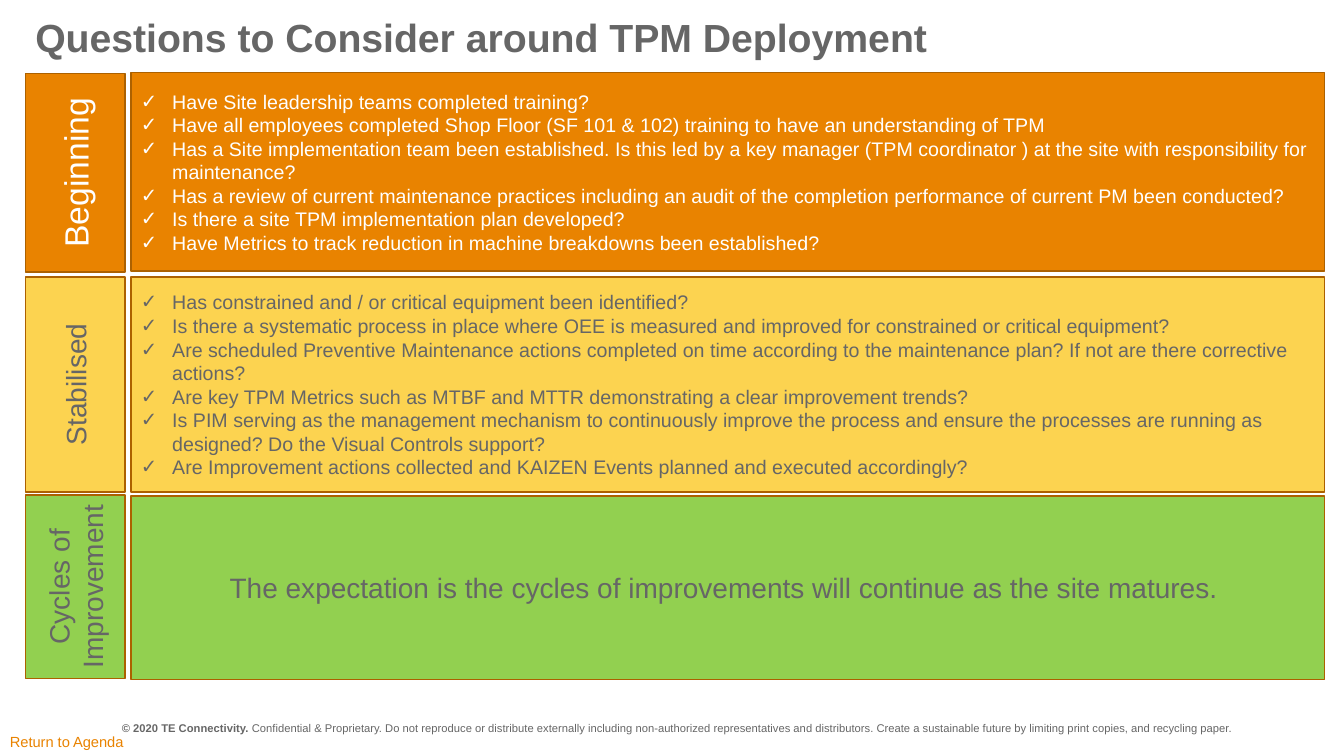
from lxml.etree import SubElement
from pptx import Presentation
from pptx.dml.color import RGBColor
from pptx.enum.shapes import MSO_SHAPE
from pptx.enum.text import MSO_ANCHOR, PP_ALIGN
from pptx.oxml.ns import qn
from pptx.util import Inches, Pt

GREY = RGBColor(0x66, 0x66, 0x66)
WHITE = RGBColor(0xFF, 0xFF, 0xFF)
ORANGE = RGBColor(0xE9, 0x83, 0x00)
YELLOW = RGBColor(0xFC, 0xD3, 0x50)
GREEN = RGBColor(0x92, 0xD0, 0x50)
BROWN = RGBColor(0xAC, 0x61, 0x00)

LABEL_LEFT, LABEL_WIDTH = 0.25, 0.99
PANEL_LEFT, PANEL_WIDTH = 1.3, 11.84

# name, name size, label top, panel top, height, fill, text colour, lines
STAGES = [
    ("Beginning", 24, 0.73, 0.72, 1.97, ORANGE, WHITE, [
        "Have Site leadership teams completed training?",
        "Have all employees completed Shop Floor (SF 101 & 102) training to have an understanding of TPM",
        "Has a Site implementation team been established. Is this led by a key manager "
        "(TPM coordinator ) at the site with responsibility for maintenance?",
        "Has a review of current maintenance practices including an audit of the completion "
        "performance of current PM been conducted?",
        "Is there a site TPM implementation plan developed?",
        "Have Metrics to track reduction in machine breakdowns been established?",
    ]),
    ("Stabilised", 20, 2.75, 2.75, 2.13, YELLOW, GREY, [
        "Has constrained and / or critical equipment been identified?",
        "Is there a systematic process in place where OEE is measured and improved for "
        "constrained or critical equipment?",
        "Are scheduled Preventive Maintenance actions completed on time according to the "
        "maintenance plan? If not are there corrective actions?",
        "Are key TPM Metrics such as MTBF and MTTR demonstrating a clear improvement trends?",
        "Is PIM serving as the management mechanism to continuously improve the process and "
        "ensure the processes are running as designed? Do the Visual Controls support?",
        "Are Improvement actions collected and KAIZEN Events planned and executed accordingly?",
    ]),
    ("Cycles of Improvement", 20, 4.91, 4.92, 1.82, GREEN, GREY, [
        "The expectation is the cycles of improvements will continue as the site matures. ",
    ]),
]


def format_text(box, size, color, alignment=PP_ALIGN.LEFT):
    for para in box.text_frame.paragraphs:
        para.alignment = alignment
        for span in para.runs:
            span.font.name = "Arial"
            span.font.size = Pt(size)
            span.font.color.rgb = color


def add_panel(left, top, width, height, fill, text):
    box = page.shapes.add_shape(
        MSO_SHAPE.RECTANGLE, Inches(left), Inches(top), Inches(width), Inches(height))
    box.shadow.inherit = False
    box.fill.solid()
    box.fill.fore_color.rgb = fill
    box.line.color.rgb = BROWN
    box.line.width = Pt(1)
    box.text_frame.word_wrap = True
    box.text_frame.vertical_anchor = MSO_ANCHOR.MIDDLE
    box.text_frame.text = text
    return box


deck = Presentation()
deck.slide_width = Inches(13.33)
deck.slide_height = Inches(7.5)
page = deck.slides.add_slide(deck.slide_layouts[5])

title = page.shapes.title
title.left, title.top = Inches(0.25), Inches(0.04)
title.width, title.height = Inches(12.55), Inches(0.65)
title.text_frame.text = "Questions to Consider around TPM Deployment"
title.text_frame.vertical_anchor = MSO_ANCHOR.MIDDLE
format_text(title, 28, GREY)
title.text_frame.paragraphs[0].runs[0].font.bold = True

for name, name_size, label_top, panel_top, height, fill, color, lines in STAGES:
    label = add_panel(LABEL_LEFT, label_top, LABEL_WIDTH, height, fill, name)
    frame = label.text_frame
    frame._txBody.bodyPr.set("vert", "vert270")
    frame.margin_left = frame.margin_right = Inches(0.04)
    frame.margin_top = frame.margin_bottom = Inches(0.04)
    format_text(label, name_size, color, PP_ALIGN.CENTER)

    panel = add_panel(PANEL_LEFT, panel_top, PANEL_WIDTH, height, fill, "\n".join(lines))
    if len(lines) == 1:
        format_text(panel, 20, color, PP_ALIGN.CENTER)
        continue
    for para in panel.text_frame.paragraphs:
        properties = para._p.get_or_add_pPr()
        properties.set("marL", str(Inches(0.31)))
        properties.set("indent", str(-Inches(0.31)))
        SubElement(properties, qn("a:buFont"), typeface="Arial")
        SubElement(properties, qn("a:buChar"), char="✓")
    format_text(panel, 14, color)

footer = page.shapes.add_textbox(Inches(1.11), Inches(7.11), Inches(11.6), Inches(0.21))
footer.text_frame.word_wrap = True
notice = footer.text_frame.paragraphs[0]
owner = notice.add_run()
owner.text = "© 2020 TE Connectivity. "
owner.font.bold = True
notice.add_run().text = (
    "Confidential & Proprietary. Do not reproduce or distribute externally including "
    "non-authorized representatives and distributors. Create a sustainable future by "
    "limiting print copies, and recycling paper.")
format_text(footer, 8, GREY)

agenda = page.shapes.add_textbox(Inches(0), Inches(7.22), Inches(1.4), Inches(0.28))
agenda.text_frame.word_wrap = True
agenda.text_frame.text = "Return to Agenda"
format_text(agenda, 10.5, ORANGE)

deck.save("out.pptx")
